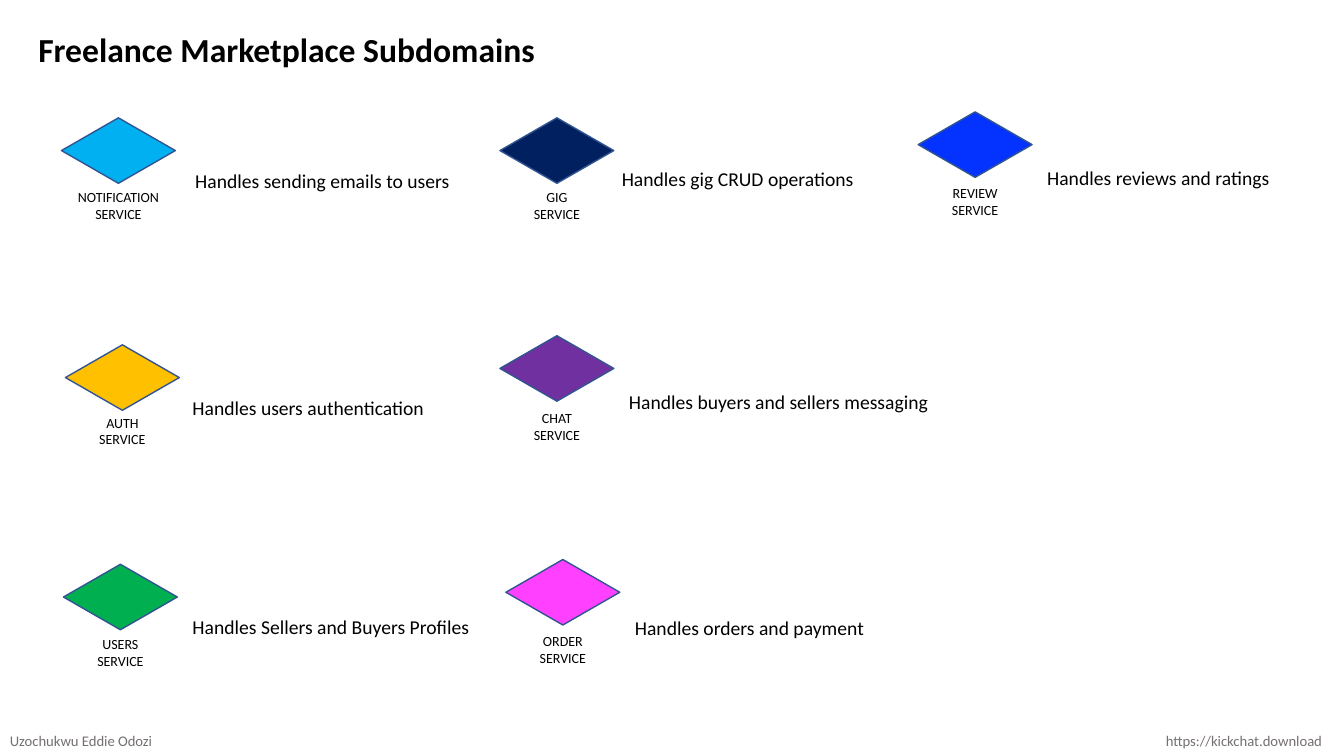
from pptx import Presentation
from pptx.dml.color import RGBColor
from pptx.enum.shapes import MSO_SHAPE
from pptx.enum.text import MSO_ANCHOR, PP_ALIGN
from pptx.util import Cm, Pt

DIAMOND = MSO_SHAPE.DIAMOND
MIDDLE = MSO_ANCHOR.MIDDLE
LEFT, CENTER = PP_ALIGN.LEFT, PP_ALIGN.CENTER
TITLE_ONLY = 5

SLIDE_W, SLIDE_H = 33.87, 19.05
DIAMOND_W, DIAMOND_H = 2.87, 1.65
LABEL_H, DESCRIPTION_H, FOOTER_H = 1.12, 0.86, 0.71

# name, fill, diamond (left, top), label top, description, its (left, top, width)
SERVICES = [
    ("NOTIFICATION", "00B0F0", (1.55, 2.97), 4.62,
     "Handles sending emails to users", (4.67, 4.14, 6.98)),
    ("AUTH", "FFC000", (1.65, 8.69), 10.31,
     "Handles users authentication", (4.6, 9.86, 6.43)),
    ("USERS", "00B050", (1.6, 14.22), 15.9,
     "Handles Sellers and Buyers Profiles", (4.6, 15.37, 7.57)),
    ("GIG", "002060", (12.6, 2.97), 4.62,
     "Handles gig CRUD operations", (15.42, 4.09, 6.43)),
    ("CHAT", "7030A0", (12.6, 8.46), 10.19,
     "Handles buyers and sellers messaging", (15.6, 9.7, 8.13)),
    ("ORDER", "FF40FF", (12.75, 14.1), 15.82,
     "Handles orders and payment", (15.75, 15.39, 6.35)),
    ("REVIEW", "0432FF", (23.14, 2.82), 4.52,
     "Handles reviews and ratings", (26.14, 4.06, 6.17)),
]


def rgb(value):
    return RGBColor.from_string(value)


class SubdomainSlide:
    font = "Calibri"
    black, grey, outline = "000000", "767171", "325491"

    def __init__(self, prs):
        self.slide = prs.slides.add_slide(prs.slide_layouts[TITLE_ONLY])

    def set_text(self, tf, text, size, color, bold=False, align=LEFT):
        """Fill a text frame, one paragraph per line, in the slide's font."""
        tf.text = text
        for p in tf.paragraphs:
            p.alignment = align
            for r in p.runs:
                r.font.name = self.font
                r.font.size = Pt(size)
                r.font.bold = bold
                r.font.color.rgb = rgb(color)

    def title(self, text, left, top, width, height):
        sp = self.slide.shapes.title
        sp.left, sp.top, sp.width, sp.height = map(Cm, (left, top, width, height))
        self.set_text(sp.text_frame, text, 24, self.black, bold=True)
        sp.text_frame.vertical_anchor = MIDDLE
        sp.text_frame.paragraphs[0].line_spacing = 0.9

    def text_box(self, shapes, text, box, size, color=black, align=LEFT):
        sp = shapes.add_textbox(*map(Cm, box))
        sp.text_frame.word_wrap = False
        self.set_text(sp.text_frame, text, size, color, align=align)

    def footer(self, text, left, width):
        box = (left, SLIDE_H - FOOTER_H - 0.03, width, FOOTER_H)
        self.text_box(self.slide.shapes, text, box, 10.5, self.grey)

    def service(self, name, fill, left, top, label_top):
        """Group a diamond with the service name centred below it."""
        shapes = self.slide.shapes.add_group_shape().shapes
        sp = shapes.add_shape(DIAMOND, *map(Cm, (left, top, DIAMOND_W, DIAMOND_H)))
        sp.shadow.inherit = False
        sp.fill.solid()
        sp.fill.fore_color.rgb = rgb(fill)
        sp.line.color.rgb = rgb(self.outline)
        sp.line.width = Pt(1)
        box = (left, label_top, DIAMOND_W, LABEL_H)
        self.text_box(shapes, f"{name}\nSERVICE", box, 10, align=CENTER)

    def description(self, text, left, top, width):
        box = (left, top, width, DESCRIPTION_H)
        self.text_box(self.slide.shapes, text, box, 14)


def main():
    prs = Presentation()
    prs.slide_width, prs.slide_height = Cm(SLIDE_W), Cm(SLIDE_H)
    s = SubdomainSlide(prs)
    s.title("Freelance Marketplace Subdomains", 0.71, 0.71, 18.54, 1.17)
    s.footer("Uzochukwu Eddie Odozi", 0, 5.21)
    s.footer("https://kickchat.download", 29.13, 4.72)
    for name, fill, diamond, label_top, text, place in SERVICES:
        s.service(name, fill, *diamond, label_top)
        s.description(text, *place)
    prs.save("out.pptx")


if __name__ == "__main__":
    main()
